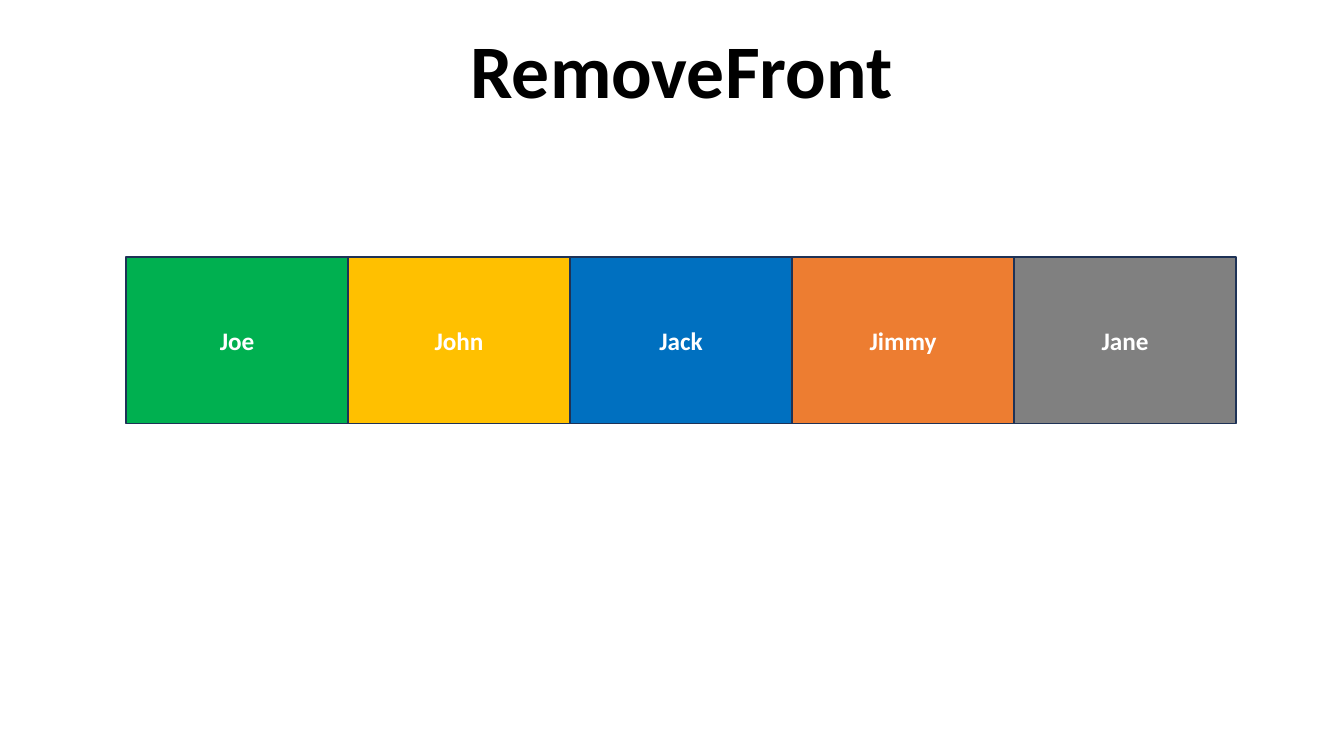
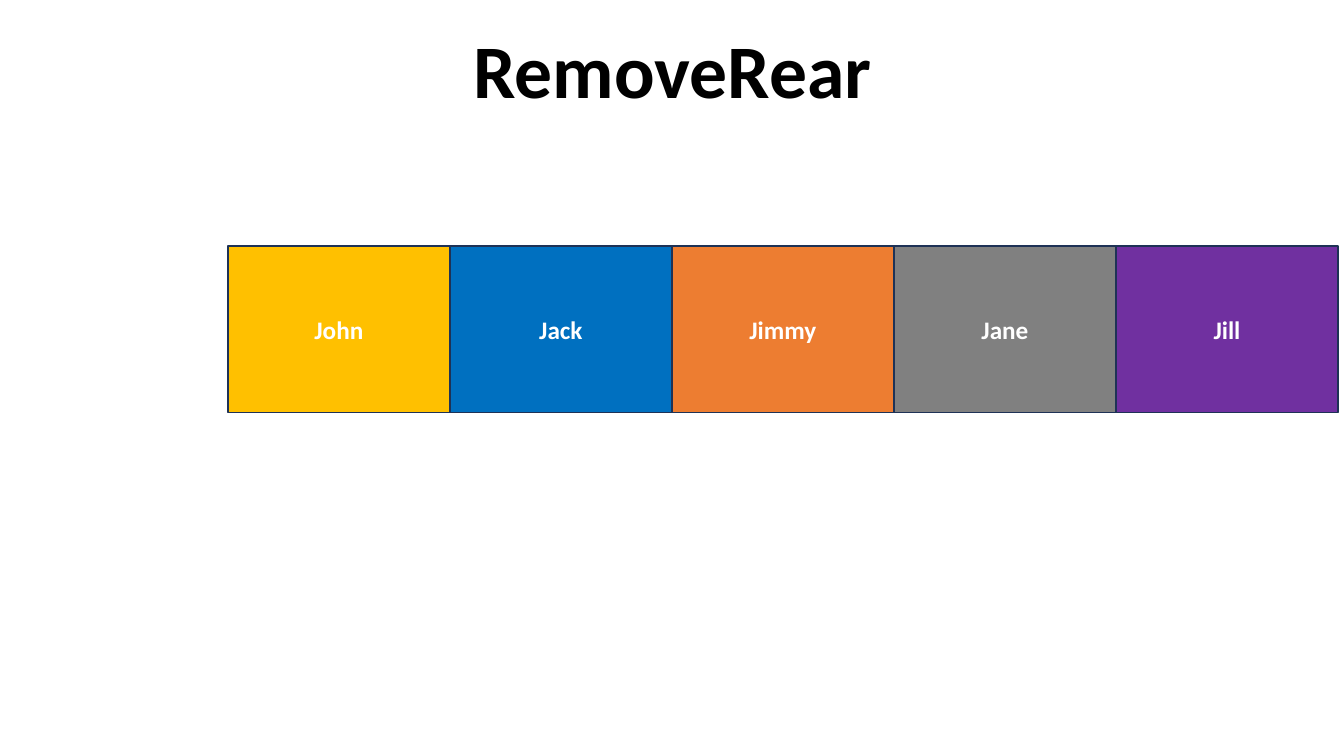
from pptx import Presentation
from pptx.dml.color import RGBColor
from pptx.enum.shapes import MSO_SHAPE
from pptx.enum.text import MSO_ANCHOR, MSO_AUTO_SIZE, PP_ALIGN
from pptx.util import Inches, Pt

RECTANGLE = MSO_SHAPE.RECTANGLE
MIDDLE, BOTTOM = MSO_ANCHOR.MIDDLE, MSO_ANCHOR.BOTTOM
CENTER = PP_ALIGN.CENTER
NO_AUTOFIT = MSO_AUTO_SIZE.NONE

SLIDE_WIDTH, SLIDE_HEIGHT = 13.33, 7.5
TITLE_ONLY = 5
FONT = "Calibri"
BLACK, WHITE, OUTLINE = "000000", "FFFFFF", "1E3256"

TITLE_TOP, TITLE_WIDTH, TITLE_HEIGHT = 0.4, 10, 0.79
QUEUE_WIDTH, QUEUE_HEIGHT = 11.01, 1.65

PERSON_COLORS = {
    "Joe": "00B050",
    "John": "FFC000",
    "Jack": "0070C0",
    "Jimmy": "ED7D31",
    "Jane": "808080",
    "Jill": "7030A0",
}
PEOPLE = list(PERSON_COLORS)

SLIDES = [
    {"title": "RemoveFront", "title_left": 1.76,
     "names": PEOPLE[:-1], "queue_at": (1.25, 2.55)},
    {"title": "RemoveRear", "title_left": 1.67,
     "names": PEOPLE[1:], "queue_at": (2.26, 2.44)},
]


def color(hex_text):
    return RGBColor.from_string(hex_text)


def write_text(shape, text, size, text_color, anchor, line_spacing=1.0):
    frame = shape.text_frame
    frame.word_wrap = True
    frame.auto_size = NO_AUTOFIT
    frame.vertical_anchor = anchor
    paragraph = frame.paragraphs[0]
    paragraph.alignment = CENTER
    paragraph.line_spacing = line_spacing
    run = paragraph.add_run()
    run.text = text
    run.font.name = FONT
    run.font.size = Pt(size)
    run.font.bold = True
    run.font.color.rgb = color(text_color)


def place_title(slide, text, left):
    title = slide.shapes.title
    title.left, title.top = Inches(left), Inches(TITLE_TOP)
    title.width, title.height = Inches(TITLE_WIDTH), Inches(TITLE_HEIGHT)
    write_text(title, text, 54, BLACK, BOTTOM, line_spacing=0.9)


def add_person(slide, name, left, top, width, height):
    box = slide.shapes.add_shape(RECTANGLE, Inches(left), Inches(top),
                                 Inches(width), Inches(height))
    box.shadow.inherit = False
    box.fill.solid()
    box.fill.fore_color.rgb = color(PERSON_COLORS[name])
    box.line.color.rgb = color(OUTLINE)
    box.line.width = Pt(1)
    write_text(box, name, 18, WHITE, MIDDLE)


def add_queue(slide, names, left, top, width, height):
    cell_width = width / len(names)
    for column, name in enumerate(names):
        add_person(slide, name, left + column * cell_width, top,
                   cell_width, height)


def add_queue_slide(presentation, title, title_left, names, queue_at):
    slide = presentation.slides.add_slide(presentation.slide_layouts[TITLE_ONLY])
    place_title(slide, title, title_left)
    add_queue(slide, names, *queue_at, QUEUE_WIDTH, QUEUE_HEIGHT)


def main():
    presentation = Presentation()
    presentation.slide_width = Inches(SLIDE_WIDTH)
    presentation.slide_height = Inches(SLIDE_HEIGHT)
    for content in SLIDES:
        add_queue_slide(presentation, **content)
    presentation.save("out.pptx")


if __name__ == "__main__":
    main()
